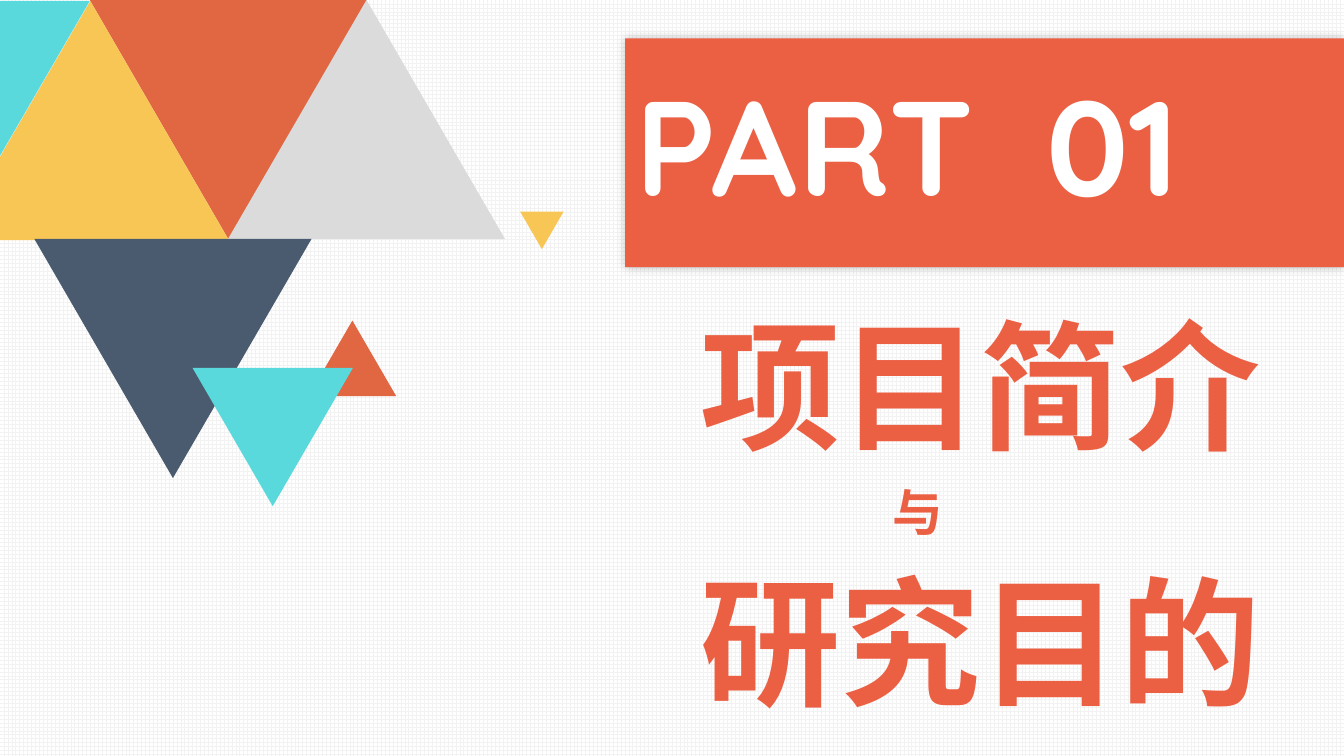
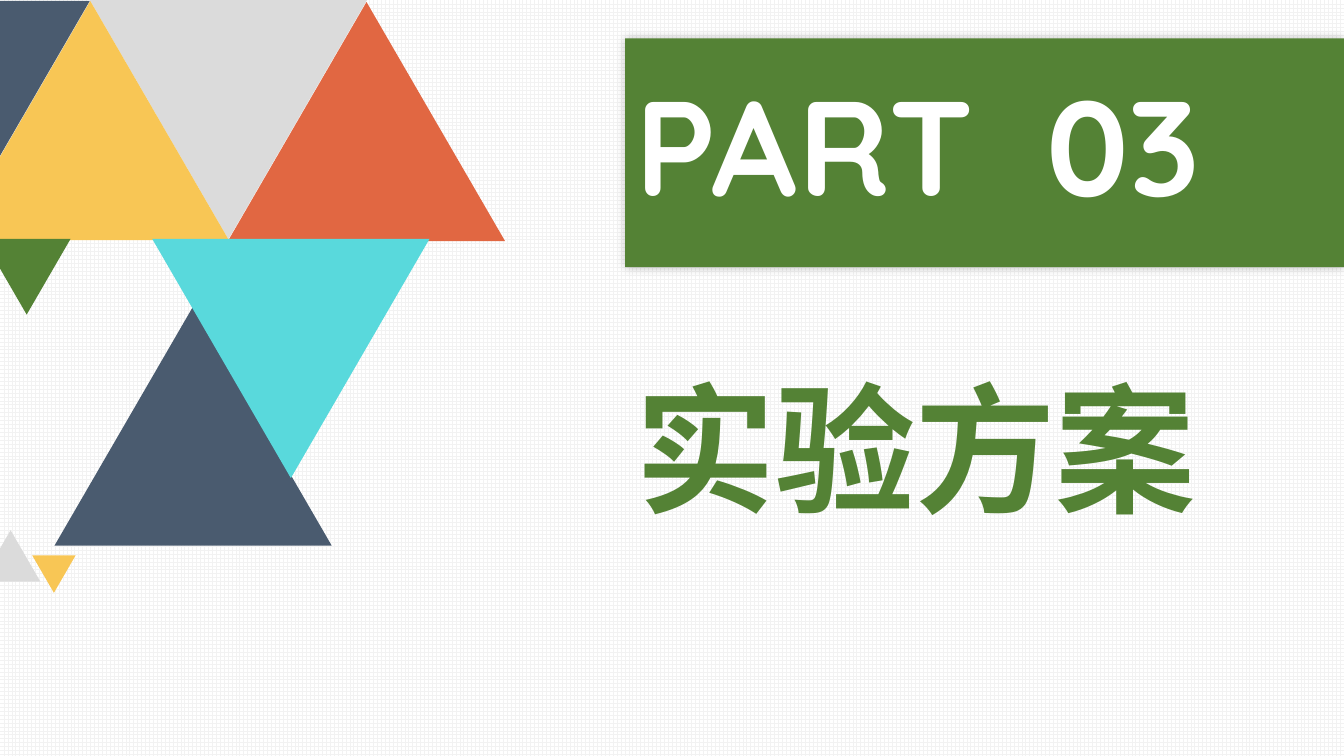
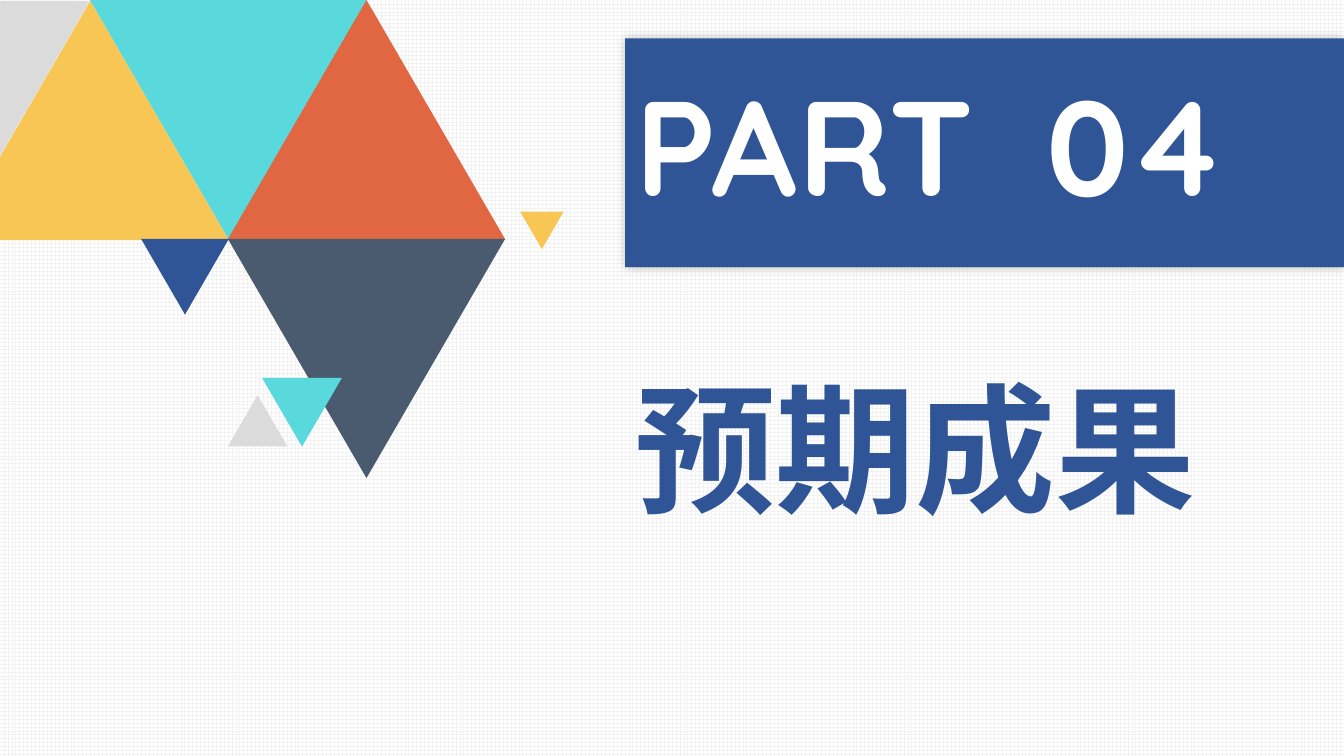
from lxml.etree import SubElement
from pptx import Presentation
from pptx.dml.color import RGBColor
from pptx.enum.dml import MSO_PATTERN
from pptx.enum.shapes import MSO_SHAPE
from pptx.enum.text import MSO_ANCHOR, MSO_AUTO_SIZE, PP_ALIGN
from pptx.oxml.ns import qn
from pptx.util import Inches, Pt

# Shared look
FONT = "Quicksand"
WHITE, BLACK, GRID = "FFFFFF", "000000", "F2F2F2"
CORAL, GREEN, BLUE = "EB5F43", "548235", "2F5597"
ORANGE, GRAY, YELLOW, SLATE, CYAN = "E16742", "DBDBDB", "F8C655", "4A5B6F", "59D9DC"

BAND = (6.2, 0.38, 7.13, 2.27)
TOPIC_SIZE = (7.32, 4.2)
TRIANGLE_RATIO = 0.863
LARGE = 2.75

# Sections: triangles are (left, top, width, colour, points up)
SECTIONS = [
    dict(number="01", color=CORAL, topic_at=(6.85, 2.92),
         topic=[("项目简介", 100, 0), ("与", 36, 1.9), ("研究目的", 100, 0)],
         triangles=[(0.89, 0, LARGE, ORANGE, False),
                    (2.26, 0, LARGE, GRAY, True),
                    (-0.48, 0.01, LARGE, YELLOW, True),
                    (0.34, 2.37, LARGE, SLATE, False),
                    (3.06, 3.18, 0.87, ORANGE, True),
                    (5.16, 2.1, 0.43, YELLOW, False),
                    (1.91, 3.65, 1.59, CYAN, False),
                    (-1.86, 0.01, LARGE, CYAN, False)]),
    dict(number="03", color=GREEN, topic_at=(6.2, 3.55),
         topic=[("实验方案", 100, 0)],
         triangles=[(0.89, 0, LARGE, GRAY, False),
                    (2.26, 0.02, LARGE, ORANGE, True),
                    (-0.48, 0.01, LARGE, YELLOW, True),
                    (0.54, 3.04, LARGE, SLATE, True),
                    (-0.17, 2.37, 0.87, GREEN, False),
                    (0.32, 5.51, 0.43, YELLOW, False),
                    (1.51, 2.37, LARGE, CYAN, False),
                    (-1.86, 0.01, LARGE, SLATE, False),
                    (-0.19, 5.26, 0.59, GRAY, True)]),
    dict(number="04", color=BLUE, topic_at=(6.2, 3.55),
         topic=[("预期成果", 100, 0)],
         triangles=[(0.89, 0, LARGE, CYAN, False),
                    (2.26, 0, LARGE, ORANGE, True),
                    (-0.48, 0.01, LARGE, YELLOW, True),
                    (2.26, 2.37, LARGE, SLATE, False),
                    (1.4, 2.37, 0.87, BLUE, False),
                    (5.16, 2.1, 0.43, YELLOW, False),
                    (2.6, 3.75, 0.79, CYAN, False),
                    (-1.86, 0.01, LARGE, GRAY, False),
                    (2.26, 3.92, 0.59, GRAY, True)]),
]


def rgb(color):
    return RGBColor.from_string(color)


def paint(shape, color):
    shape.fill.solid()
    shape.fill.fore_color.rgb = rgb(color)
    shape.line.fill.background()


def place(shape, left, top, width, height):
    shape.left, shape.top = Inches(left), Inches(top)
    shape.width, shape.height = Inches(width), Inches(height)


def add_text(paragraph, text, size, color, spacing=0):
    run = paragraph.add_run()
    run.text = text
    run.font.size, run.font.bold, run.font.name = Pt(size), True, FONT
    run.font.color.rgb = rgb(color)
    props = run.font._element
    SubElement(props, qn("a:ea"), typeface=FONT)
    if spacing:
        props.set("spc", str(round(spacing * 100)))


def set_frame(frame, anchor):
    frame.word_wrap = True
    frame.auto_size = MSO_AUTO_SIZE.NONE
    frame.vertical_anchor = anchor


def add_glow(shape, blur, alpha):
    effects = SubElement(shape._element.spPr, qn("a:effectLst"))
    shadow = SubElement(effects, qn("a:outerShdw"), blurRad=str(Pt(blur)),
                        dist="0", dir="0", algn="ctr", rotWithShape="0")
    tone = SubElement(shadow, qn("a:srgbClr"), val=BLACK)
    SubElement(tone, qn("a:alpha"), val=str(alpha * 1000))


def fill_band(title, number, color):
    place(title, *BAND)
    paint(title, color)
    add_glow(title, blur=7, alpha=25)
    set_frame(title.text_frame, MSO_ANCHOR.MIDDLE)
    paragraph = title.text_frame.paragraphs[0]
    paragraph.alignment = PP_ALIGN.LEFT
    paragraph.line_spacing, paragraph.space_before = 0.9, Pt(10)
    # The widened space sets the number apart
    for text, spacing in (("PART", 0.5), (" ", 25), (number, 0.5)):
        add_text(paragraph, text, size=96, color=WHITE, spacing=spacing)


def fill_topic(body, position, lines, color):
    place(body, *position, *TOPIC_SIZE)
    frame = body.text_frame
    set_frame(frame, MSO_ANCHOR.TOP)
    for index, (text, size, indent) in enumerate(lines):
        paragraph = frame.add_paragraph() if index else frame.paragraphs[0]
        paragraph.space_before = Pt(10)
        props = paragraph._p.get_or_add_pPr()
        props.set("marL", str(Inches(indent)))
        props.set("indent", "0")
        SubElement(props, qn("a:buNone"))
        add_text(paragraph, text, size=size, color=color)


def add_triangle(slide, left, top, width, color, points_up):
    triangle = slide.shapes.add_shape(
        MSO_SHAPE.FLOWCHART_MERGE, Inches(left), Inches(top),
        Inches(width), Inches(width * TRIANGLE_RATIO))
    paint(triangle, color)
    triangle.shadow.inherit = False
    triangle.rotation = 180 if points_up else 0


def set_background(master):
    fill = master.background.fill
    fill.patterned()
    fill.pattern = MSO_PATTERN.LARGE_GRID
    fill.fore_color.rgb, fill.back_color.rgb = rgb(GRID), rgb(WHITE)


def add_section(prs, number, color, topic_at, topic, triangles):
    slide = prs.slides.add_slide(prs.slide_layouts[1])
    fill_band(slide.shapes.title, number, color)
    fill_topic(slide.placeholders[1], topic_at, topic, color)
    for triangle in triangles:
        add_triangle(slide, *triangle)


def main():
    prs = Presentation()
    prs.slide_width, prs.slide_height = Inches(13.33), Inches(7.5)
    set_background(prs.slide_master)
    for section in SECTIONS:
        add_section(prs, **section)
    prs.save("out.pptx")


main()
